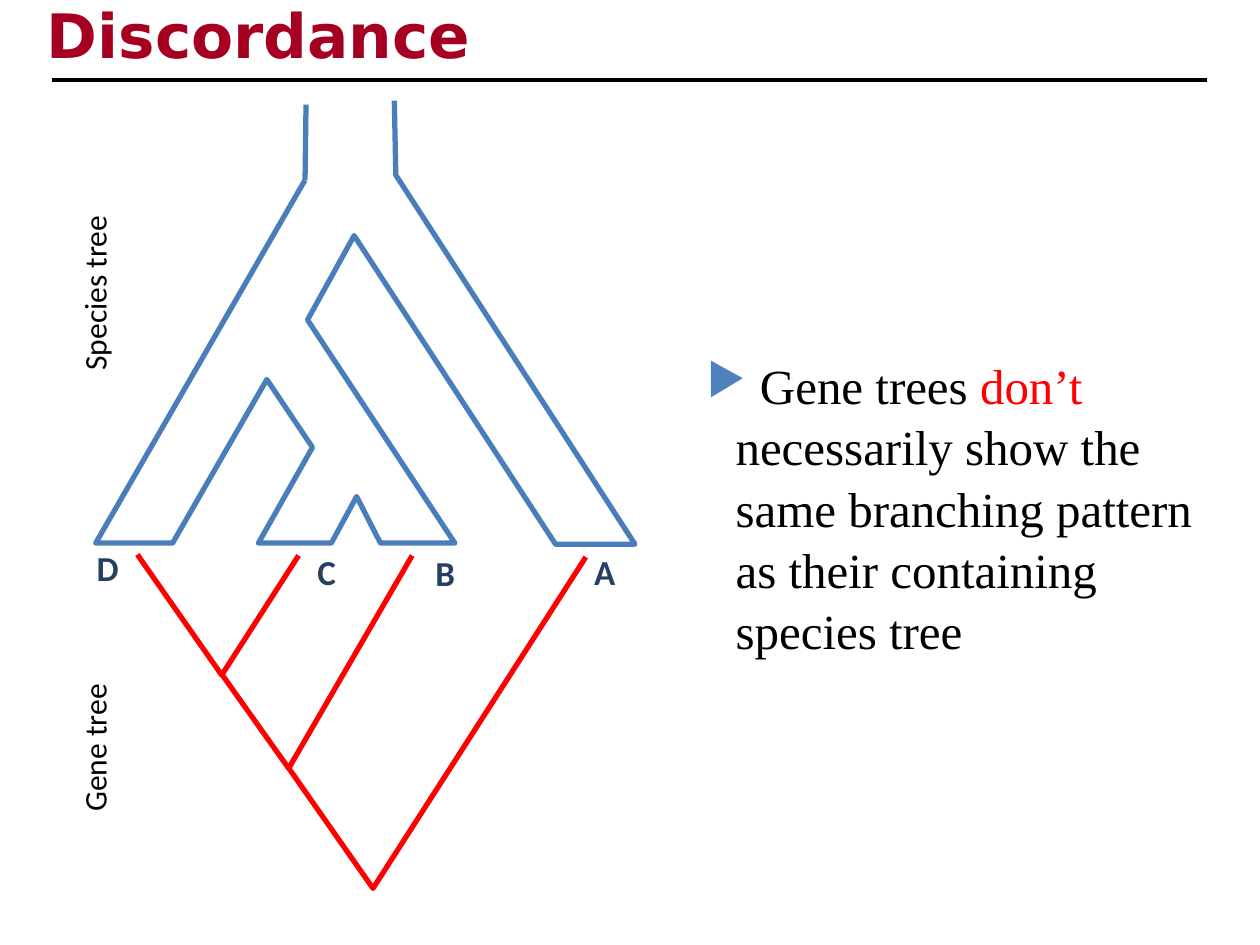
from dataclasses import dataclass

from lxml import etree
from pptx import Presentation
from pptx.dml.color import RGBColor
from pptx.enum import shapes, text
from pptx.oxml import parse_xml
from pptx.oxml.ns import nsdecls, qn
from pptx.util import Cm, Pt

BLACK = RGBColor(0x00, 0x00, 0x00)
RED = RGBColor(0xFF, 0x00, 0x00)
CRIMSON = RGBColor(0xA5, 0x00, 0x21)
NAVY = RGBColor(0x25, 0x40, 0x61)
BLUE = RGBColor(0x4A, 0x7E, 0xBB)
BULLET_BLUE = RGBColor(0x4F, 0x81, 0xBD)

Point = tuple[float, float]


@dataclass(frozen=True)
class Tree:
    """Open polylines, with points in centimetres."""
    color: RGBColor
    strokes: list[list[Point]]


@dataclass(frozen=True)
class Label:
    text: str
    left: float
    top: float
    width: float
    height: float
    font: dict
    rotation: int = 0


TIP_FONT = dict(name="Calibri", size=Pt(20), bold=True, color=NAVY)
SIDE_FONT = dict(name="Calibri", size=Pt(18), color=BLACK)
TITLE_FONT = dict(name="DejaVu Sans", size=Pt(35), bold=True, color=CRIMSON)
BODY_FONT = dict(name="Times New Roman", size=Pt(28))

TIP_Y = 10.95
SPECIES_TREE = Tree(BLUE, [
    [(6.15, 3.63), (1.93, TIP_Y), (3.48, TIP_Y), (5.38, 7.65), (6.3, 9.02),
     (5.21, TIP_Y), (6.68, TIP_Y), (7.19, 10.01), (7.67, TIP_Y),
     (9.17, TIP_Y), (6.2, 6.45), (7.14, 4.75), (11.2, 10.97),
     (12.8, 10.97), (7.98, 3.53), (7.95, 2.03)],
    [(6.15, 3.63), (6.17, 2.11)],
])
GENE_TREE = Tree(RED, [
    [(2.77, 11.18), (4.47, 13.61), (6.02, 11.2)],
    [(4.47, 13.59), (5.82, 15.49), (8.31, 11.2)],
    [(5.79, 15.44), (7.52, 17.91), (11.81, 11.23)],
])
TIPS = [Label(name, left, top, 1.07, 1.11, TIP_FONT)
        for name, left, top in [("D", 1.7, 10.9), ("C", 6.15, 10.97),
                                ("B", 8.53, 11.0), ("A", 11.73, 10.97)]]
SIDES = [Label(name, -0.03, top, 3.86, 1.02, SIDE_FONT, 270)
         for name, top in [("Species tree", 5.28), ("Gene tree", 14.17)]]


def format_font(font, values: dict) -> None:
    for key, value in values.items():
        if key == "color":
            font.color.rgb = value
        else:
            setattr(font, key, value)


def place(sp, left: float, top: float, width: float, height: float) -> None:
    box = dict(left=left, top=top, width=width, height=height)
    for key, value in box.items():
        setattr(sp, key, Cm(value))


def draw_tree(s, tree: Tree) -> None:
    group = s.shapes.add_group_shape()
    for stroke in tree.strokes:
        start, *rest = [(Cm(x), Cm(y)) for x, y in stroke]
        builder = group.shapes.build_freeform(*start)
        builder.add_line_segments(rest, close=False)
        sp = builder.convert_to_shape()
        sp.shadow.inherit = False
        sp.fill.background()
        sp.line.color.rgb = tree.color
        sp.line.width = Pt(3)


def add_label(s, label: Label) -> None:
    sp = s.shapes.add_textbox(*map(Cm, (label.left, label.top,
                                        label.width, label.height)))
    sp.rotation = label.rotation
    tf = sp.text_frame
    tf.word_wrap = True
    r = tf.paragraphs[0].add_run()
    r.text = label.text
    format_font(r.font, label.font)


def add_title(s) -> None:
    sp = s.shapes.title
    place(sp, 0.69, -0.08, 21.59, 1.7)
    tf = sp.text_frame
    tf.vertical_anchor = text.MSO_ANCHOR.MIDDLE
    tf.auto_size = text.MSO_AUTO_SIZE.NONE
    p = tf.paragraphs[0]
    p.alignment = text.PP_ALIGN.LEFT
    p.line_spacing = 0.9
    r = p.add_run()
    r.text = "Discordance"
    format_font(r.font, TITLE_FONT)
    shadow = parse_xml(
        f'<a:effectLst {nsdecls("a")}><a:outerShdw dist="25400" dir="2700000">'
        '<a:srgbClr val="C0C0C0"/></a:outerShdw></a:effectLst>')
    r.font.fill._xPr.find(qn("a:latin")).addprevious(shadow)


def add_rule(s) -> None:
    line = s.shapes.add_connector(shapes.MSO_CONNECTOR.STRAIGHT,
                                  Cm(1.04), Cm(1.62), Cm(24.33), Cm(1.62))
    line.line.color.rgb = BLACK
    line.line.width = Pt(2.25)
    etree.SubElement(line._element.spPr, qn("a:effectLst"))


def add_bullet(p) -> None:
    pPr = p._p.get_or_add_pPr()
    pPr.set("marL", str(Cm(0.58)))
    pPr.set("indent", str(-Cm(0.58)))
    color = etree.SubElement(pPr, qn("a:buClr"))
    etree.SubElement(color, qn("a:srgbClr"), val=str(BULLET_BLUE))
    etree.SubElement(pPr, qn("a:buSzPct"), val="90000")
    etree.SubElement(pPr, qn("a:buChar"), char="▶")


def add_statement(s) -> None:
    tf = s.shapes.add_textbox(Cm(14), Cm(7), Cm(10.69), Cm(9.8)).text_frame
    tf.word_wrap = True
    p = tf.paragraphs[0]
    add_bullet(p)
    p.line_spacing = 1.04
    for words, color in [
            (" Gene trees ", BLACK), ("don’t", RED),
            (" necessarily show the same branching pattern as their "
             "containing species tree", BLACK)]:
        r = p.add_run()
        r.text = words
        format_font(r.font, BODY_FONT | dict(color=color))


def main() -> None:
    prs = Presentation()
    prs.slide_width, prs.slide_height = Cm(25.4), Cm(19.05)
    s = prs.slides.add_slide(prs.slide_layouts.get_by_name("Title Only"))
    for tree in (SPECIES_TREE, GENE_TREE):
        draw_tree(s, tree)
    for label in TIPS + SIDES:
        add_label(s, label)
    add_title(s)
    add_rule(s)
    add_statement(s)
    prs.save("out.pptx")


if __name__ == "__main__":
    main()
